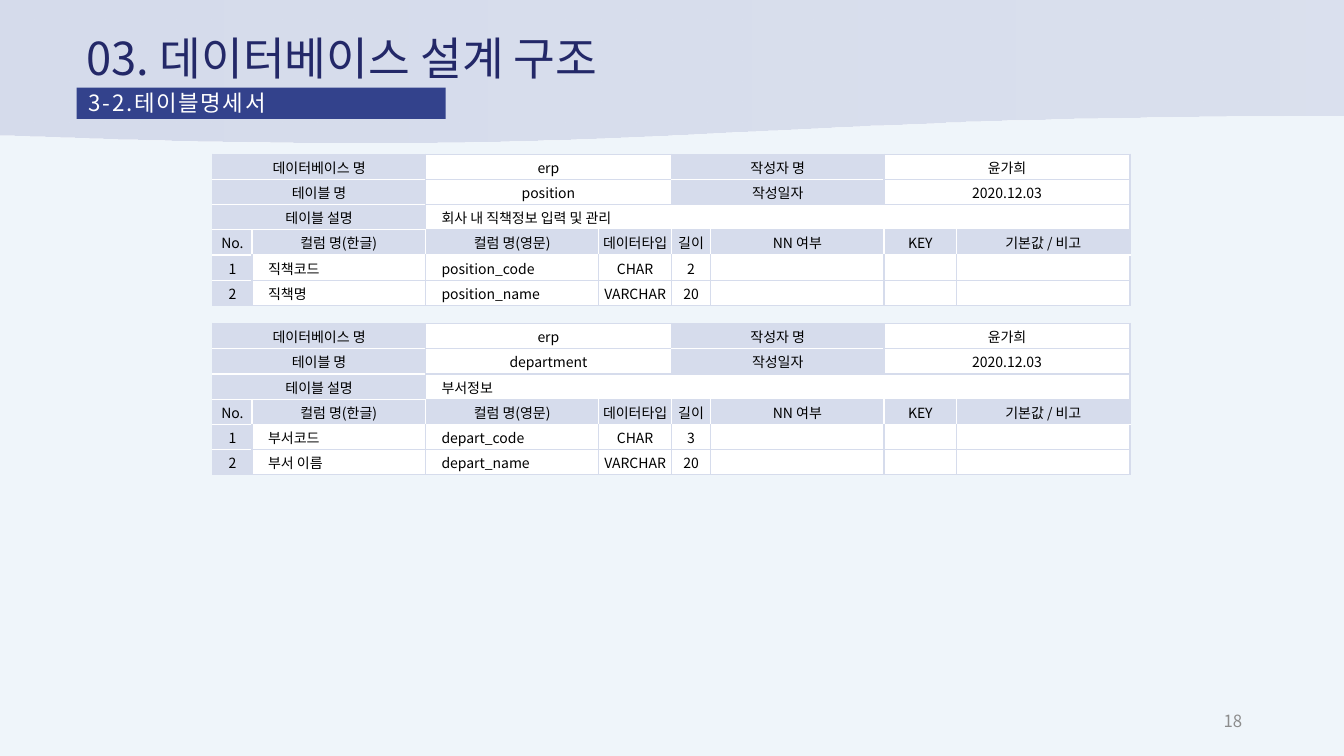
from lxml.etree import SubElement
from pptx import Presentation
from pptx.dml.color import RGBColor
from pptx.enum.shapes import MSO_SHAPE
from pptx.enum.text import MSO_ANCHOR, PP_ALIGN
from pptx.oxml.ns import qn
from pptx.util import Inches, Pt

TITLE = "03. 데이터베이스 설계 구조"
SUBTITLE = "3-2.테이블명세서"
PAGE_NUMBER = "18"
HEADINGS = ["No.", "컬럼 명(한글)", "컬럼 명(영문)", "데이터타입", "길이",
            "NN 여부", "KEY", "기본값 / 비고"]
SPECS = [
    {"top": 1.53, "name": "position", "about": "회사 내 직책정보 입력 및 관리",
     "fields": [["1", "직책코드", "position_code", "CHAR", "2", "", "", ""],
                ["2", "직책명", "position_name", "VARCHAR", "20", "", "", ""]]},
    {"top": 3.21, "name": "department", "about": "부서정보",
     "fields": [["1", "부서코드", "depart_code", "CHAR", "3", "", "", ""],
                ["2", "부서 이름", "depart_name", "VARCHAR", "20", "", "", ""]]},
]
DATABASE, AUTHOR, DATE = "erp", "윤가희", "2020.12.03"

FONT = "Noto Sans CJK KR"
COLORS = {"back": "EFF5FA", "tint": "D6DCEC", "white": "FFFFFF", "text": "000000",
          "title": "232868", "bar": "33428C", "number": "8C8C8C"}
COL_WIDTHS = [0.39, 1.72, 1.72, 0.72, 0.39, 1.72, 0.72, 1.72]
ROW_HEIGHT = 0.25
TABLE_LEFT = 2.11
HEADING_ROW = 3
NO_STYLE = "{2D5ABB26-0587-4C30-8999-92F81FD0307C}"


def rgb(name):
    return RGBColor.from_string(COLORS[name])


def set_text(tf, text, size, color, align, spacing=None):
    p = tf.paragraphs[0]
    p.text = text
    p.alignment = align
    p.font.size = Pt(size)
    p.font.name = FONT
    p.font.color.rgb = rgb(color)
    props = p._p.pPr.find(qn("a:defRPr"))
    SubElement(props, qn("a:ea")).set("typeface", FONT)
    if spacing:
        props.set("spc", str(spacing))
    if not text:
        SubElement(p._p, qn("a:endParaRPr")).set("sz", str(size * 100))
    return p


def add_text(slide, box, text, size, color, align):
    tf = slide.shapes.add_textbox(*map(Inches, box)).text_frame
    tf.word_wrap = True
    tf.vertical_anchor = MSO_ANCHOR.MIDDLE
    set_text(tf, text, size, color, align)


def add_plain_shape(slide, kind, box):
    sp = slide.shapes.add_shape(kind, *map(Inches, box))
    sp.shadow.inherit = False
    sp.line.fill.background()
    return sp


def is_label(row, col):
    if row < 2:
        return col in (0, 1, 4, 5)
    if row == 2:
        return col < 2
    return row == HEADING_ROW or col == 0


def border_colors(row, col, span, rows):
    """White between two label cells and under the headings, tint elsewhere."""
    sides = {"L": (row, col - 1), "R": (row, col + span),
             "T": (row - 1, col), "B": (row + 1, col)}
    colors = {}
    for side, (r, c) in sides.items():
        inside = 0 <= r < rows and 0 <= c < len(COL_WIDTHS)
        both = inside and is_label(row, col) and is_label(r, c)
        under = (row, side) in ((HEADING_ROW, "B"), (HEADING_ROW + 1, "T"))
        colors[side] = "white" if both or under else "tint"
    return colors


def set_borders(cell, colors):
    tcPr = cell._tc.get_or_add_tcPr()
    for i, (side, color) in enumerate(colors.items()):
        ln = SubElement(tcPr, qn(f"a:ln{side}"))
        ln.set("w", str(Pt(1)))
        fill = SubElement(ln, qn("a:solidFill"))
        SubElement(fill, qn("a:srgbClr")).set("val", COLORS[color])
        tcPr.remove(ln)
        tcPr.insert(i, ln)


def spec_rows(spec):
    """Each cell is (text, column span)."""
    return [
        [("데이터베이스 명", 2), (DATABASE, 2), ("작성자 명", 2), (AUTHOR, 2)],
        [("테이블 명", 2), (spec["name"], 2), ("작성일자", 2), (DATE, 2)],
        [("테이블 설명", 2), (spec["about"], 6)],
    ] + [[(text, 1) for text in row] for row in [HEADINGS] + spec["fields"]]


def add_spec_table(slide, spec):
    rows = spec_rows(spec)
    frame = slide.shapes.add_table(
        len(rows), len(COL_WIDTHS), Inches(TABLE_LEFT), Inches(spec["top"]),
        Inches(sum(COL_WIDTHS)), Inches(ROW_HEIGHT * len(rows)))
    table = frame.table
    table.first_row = table.horz_banding = False
    table._tbl.tblPr.find(qn("a:tableStyleId")).text = NO_STYLE
    for column, width in zip(table.columns, COL_WIDTHS):
        column.width = Inches(width)
    for r, row in enumerate(rows):
        table.rows[r].height = Inches(ROW_HEIGHT)
        col = 0
        for text, span in row:
            cell = table.cell(r, col)
            if span > 1:
                cell.merge(table.cell(r, col + span - 1))
            label = is_label(r, col)
            left = not label and (span == 6 or (r > HEADING_ROW and col in (1, 2)))
            cell.margin_left = Inches(0.16 if left else 0.01)
            cell.margin_right = cell.margin_top = Inches(0.01)
            cell.margin_bottom = 0
            cell.vertical_anchor = MSO_ANCHOR.MIDDLE
            cell.fill.solid()
            cell.fill.fore_color.rgb = rgb("tint" if label else "white")
            set_text(cell.text_frame, text, 10, "text",
                     PP_ALIGN.LEFT if left else PP_ALIGN.CENTER)
            set_borders(cell, border_colors(r, col, span, len(rows)))
            col += span


def add_header_wave(slide):
    wave = add_plain_shape(slide, MSO_SHAPE.FLOWCHART_DOCUMENT, (0, 0, 13.33, 1.43))
    wave.fill.gradient()
    wave.fill.gradient_angle = 0
    for stop, position in zip(wave.fill.gradient_stops, (0, 1)):
        stop.color.rgb = rgb("tint")
        stop.position = position
    last_color = wave._element.findall(".//" + qn("a:gs"))[-1][0]
    SubElement(last_color, qn("a:alpha")).set("val", "80000")


def add_subtitle_bar(slide):
    bar = add_plain_shape(slide, MSO_SHAPE.RECTANGLE, (0.76, 0.87, 3.66, 0.31))
    bar.fill.solid()
    bar.fill.fore_color.rgb = rgb("bar")
    tf = bar.text_frame
    tf.word_wrap = True
    tf.vertical_anchor = MSO_ANCHOR.TOP
    tf.margin_left = tf.margin_right = Inches(0.12)
    tf.margin_top, tf.margin_bottom = Inches(0.04), Inches(0.05)
    p = set_text(tf, SUBTITLE, 16, "white", PP_ALIGN.JUSTIFY, spacing=120)
    p.line_spacing = 0.9


def main():
    prs = Presentation()
    prs.slide_width, prs.slide_height = Inches(13.33), Inches(7.5)
    slide = prs.slides.add_slide(prs.slide_layouts[6])
    slide.background.fill.solid()
    slide.background.fill.fore_color.rgb = rgb("back")
    add_header_wave(slide)
    add_text(slide, (9.42, 6.95, 3, 0.4), PAGE_NUMBER, 12, "number", PP_ALIGN.RIGHT)
    for spec in SPECS:
        add_spec_table(slide, spec)
    add_text(slide, (0.76, 0.28, 8.55, 0.58), TITLE, 32.4, "title", PP_ALIGN.LEFT)
    add_subtitle_bar(slide)
    prs.save("out.pptx")


if __name__ == "__main__":
    main()
